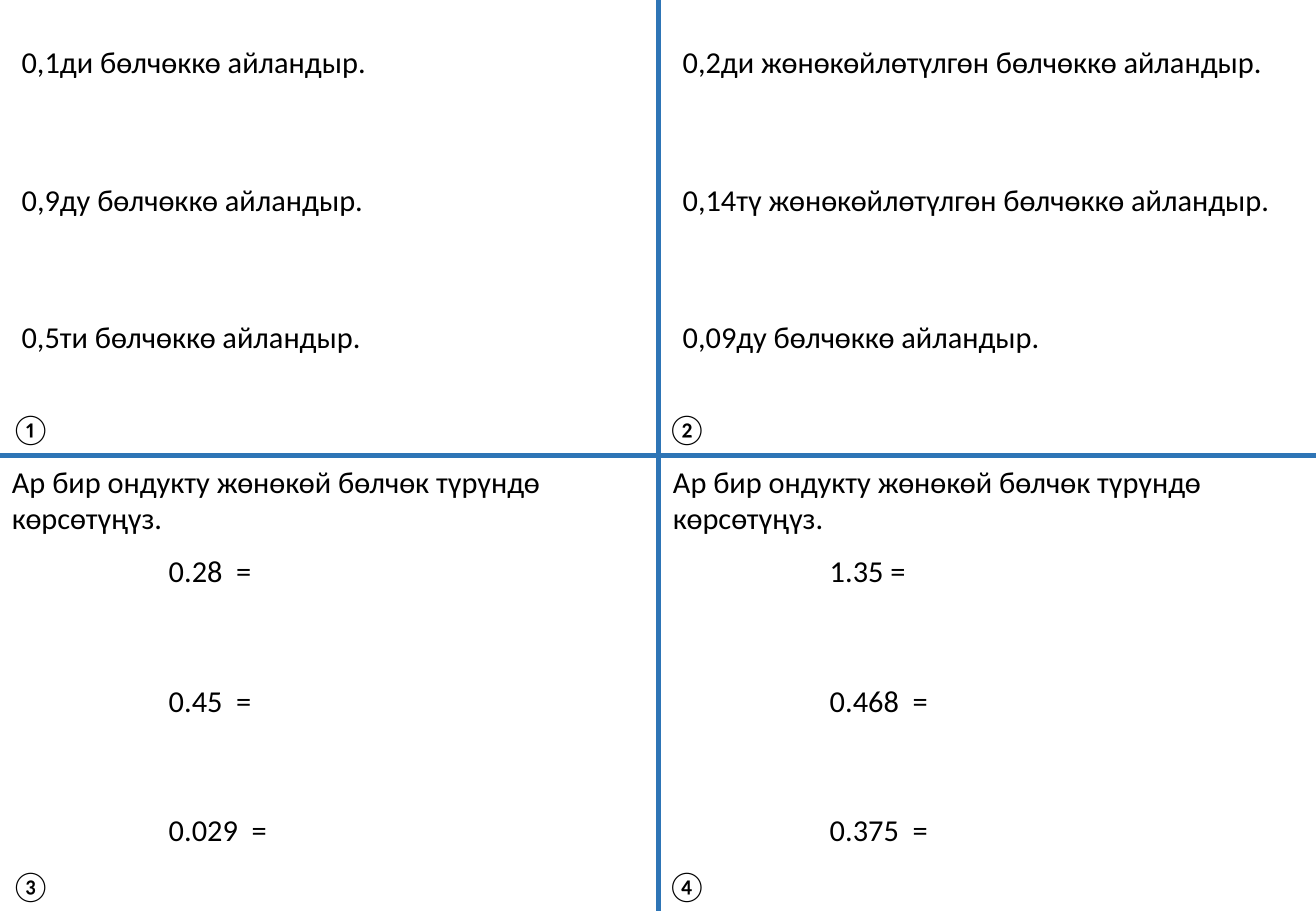
from dataclasses import dataclass

from lxml import etree
from pptx import Presentation
from pptx import util as u
from pptx.dml.color import RGBColor
from pptx.enum import shapes, text
from pptx.oxml import ns

PX = 9144
WIDTH, HEIGHT = 1083, 750
LINE_HEIGHT = 40


@dataclass(frozen=True)
class Theme:
    font: str = "Calibri"
    body_size: int = 18
    divider_width: int = 3
    ink: RGBColor = RGBColor(0x00, 0x00, 0x00)
    divider: RGBColor = RGBColor(0x2E, 0x75, 0xB6)


THEME = Theme()

INSTRUCTION = ("Ар бир ондукту жөнөкөй бөлчөк түрүндө", "көрсөтүңүз.")

CONVERSION_CARDS = [
    (8, [("0,1ди бөлчөккө айландыр.", 307),
         ("0,9ду бөлчөккө айландыр.", 305),
         ("0,5ти бөлчөккө айландыр.", 303)]),
    (552, [("0,2ди жөнөкөйлөтүлгөн бөлчөккө айландыр.", 504),
           ("0,14тү жөнөкөйлөтүлгөн бөлчөккө айландыр.", 510),
           ("0,09ду бөлчөккө айландыр.", 328)]),
]

EQUATION_CARDS = [
    (0, [("0.28  =", 95), ("0.45  =", 95), ("0.029  =", 108)]),
    (544, [("1.35 =", 89), ("0.468  =", 108), ("0.375  =", 108)]),
]


def px(value):
    return u.Emu(round(value * PX))


def add_divider(slide, start, end):
    line = slide.shapes.add_connector(
        shapes.MSO_CONNECTOR.STRAIGHT, *map(px, start + end))
    line.line.color.rgb = THEME.divider
    line.line.width = u.Pt(THEME.divider_width)
    etree.SubElement(line._element.spPr, ns.qn("a:effectLst"))


def add_text(slide, left, top, width, lines, height=LINE_HEIGHT):
    box = slide.shapes.add_textbox(px(left), px(top), px(width), px(height))
    frame = box.text_frame
    frame.word_wrap = False
    frame.auto_size = text.MSO_AUTO_SIZE.SHAPE_TO_FIT_TEXT
    for index, line in enumerate(lines):
        paragraph = frame.add_paragraph() if index else frame.paragraphs[0]
        run = paragraph.add_run()
        run.text = line
        run.font.name = THEME.font
        run.font.size = u.Pt(THEME.body_size)
        run.font.color.rgb = THEME.ink


def add_column(slide, left, top, pitch, entries):
    for row, (line, width) in enumerate(entries):
        add_text(slide, left, top + row * pitch, width, [line])


def add_card_numbers(slide):
    for index, number in enumerate("①②③④"):
        row, column = divmod(index, 2)
        add_text(slide, -1 + column * 540, 333 + row * 376, 54, [number])


def add_equation_card(slide, left, entries):
    add_text(slide, left, 376, 467, INSTRUCTION, height=71)
    add_column(slide, left + 129, 450, 106.5, entries)


def main():
    presentation = Presentation()
    presentation.slide_width = px(WIDTH)
    presentation.slide_height = px(HEIGHT)
    slide = presentation.slides.add_slide(presentation.slide_layouts[6])

    add_divider(slide, (542, 0), (542, HEIGHT))
    add_divider(slide, (WIDTH, 375), (0, 375))
    add_card_numbers(slide)
    for left, entries in CONVERSION_CARDS:
        add_column(slide, left, 31, 113, entries)
    for left, entries in EQUATION_CARDS:
        add_equation_card(slide, left, entries)

    presentation.save("out.pptx")


if __name__ == "__main__":
    main()
